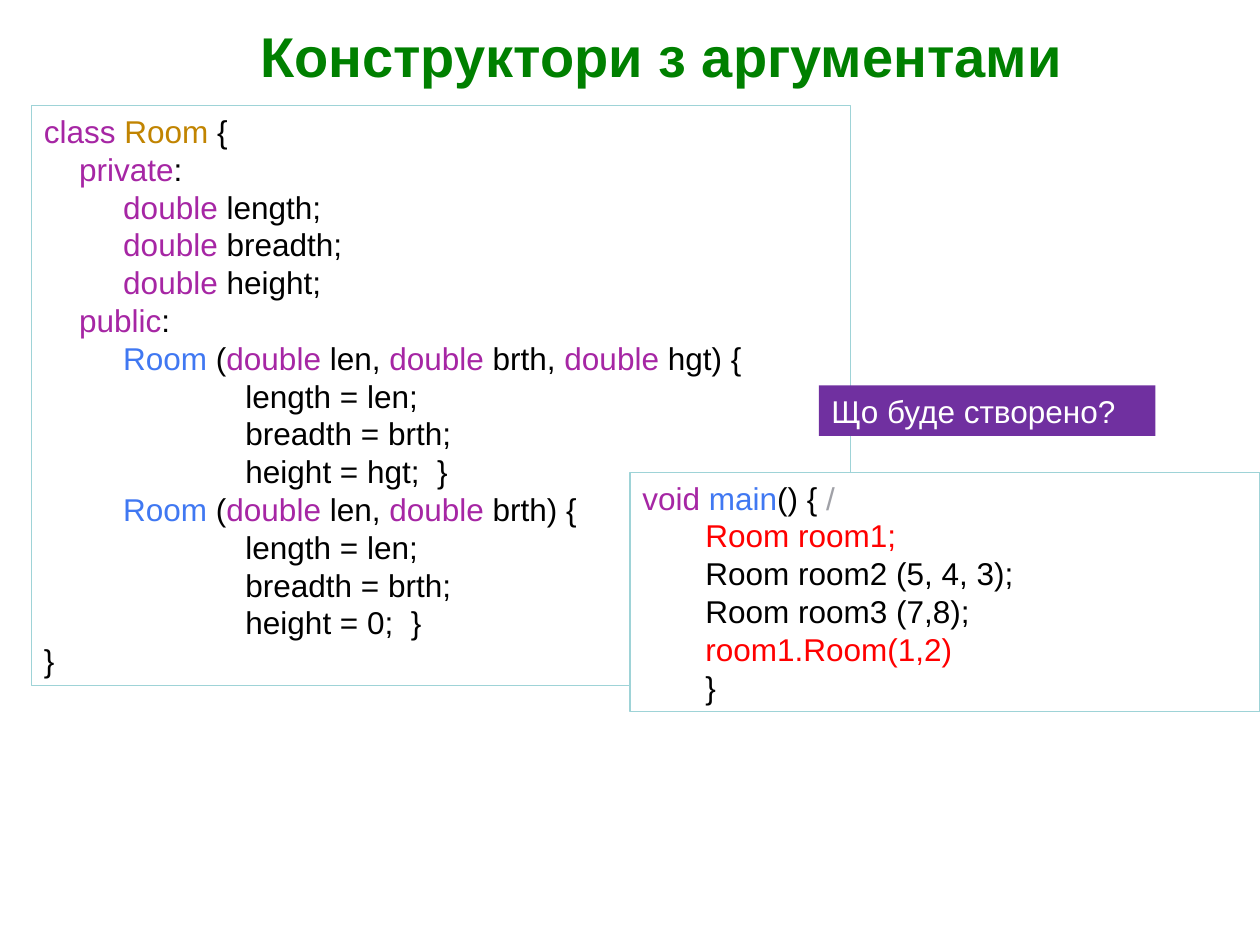
"""Build the slide about constructors with arguments."""
from dataclasses import dataclass
from typing import NamedTuple

from pptx import Presentation
from pptx.dml.color import RGBColor
from pptx.enum.shapes import MSO_SHAPE
from pptx.enum.text import MSO_ANCHOR, PP_ALIGN
from pptx.util import Inches, Pt

RECTANGLE = MSO_SHAPE.RECTANGLE
LEFT, CENTER = PP_ALIGN.LEFT, PP_ALIGN.CENTER
TOP, MIDDLE = MSO_ANCHOR.TOP, MSO_ANCHOR.MIDDLE

FONT = "Arial"
BLACK, WHITE, RED, GREEN = "000000", "FFFFFF", "FF0000", "008000"
KEYWORD, TYPE_NAME, FUNCTION, COMMENT = "A626A4", "C18401", "4078F2", "A0A1A7"
BORDER, PURPLE = "9ED3D7", "7030A0"
MEMBER_INDENT, FIELD_INDENT, BODY_INDENT, MAIN_INDENT = 0.28, 0.63, 1.6, 0.5


class Span(NamedTuple):
    text: str
    color: str = BLACK


@dataclass
class Line:
    spans: list[Span]
    indent: float = 0


@dataclass
class Box:
    left: float
    top: float
    width: float
    height: float
    lines: list[Line]
    fill: str | None = None
    border: str | None = None


def rgb(color: str) -> RGBColor:
    return RGBColor.from_string(color)


def plain(text: str, color: str = BLACK, indent: float = 0) -> Line:
    return Line([Span(text, color)], indent)


def access(name: str) -> Line:
    return Line([Span(name, KEYWORD), Span(":")], MEMBER_INDENT)


def field(name: str) -> Line:
    return Line([Span("double", KEYWORD), Span(f" {name};")], FIELD_INDENT)


def constructor(parameters: list[str], height: str) -> list[Line]:
    spans = [Span("Room ", FUNCTION), Span("(")]
    for parameter in parameters:
        ending = ") {" if parameter == parameters[-1] else ", "
        spans += [Span("double", KEYWORD), Span(f" {parameter}{ending}")]
    body = ["length = len;", "breadth = brth;", f"height = {height};  }}"]
    return [Line(spans, FIELD_INDENT)] + [plain(text, indent=BODY_INDENT) for text in body]


def write_text(frame, lines: list[Line], *, size: float = 18, bold: bool = False,
               align=LEFT, anchor=TOP) -> None:
    frame.word_wrap = True
    frame.vertical_anchor = anchor
    for index, line in enumerate(lines):
        paragraph = frame.add_paragraph() if index else frame.paragraphs[0]
        paragraph.alignment = align
        properties = paragraph._p.get_or_add_pPr()
        properties.set("marL", str(Inches(line.indent)))
        properties.set("indent", "0")
        for span in line.spans:
            run = paragraph.add_run()
            run.text = span.text
            run.font.name = FONT
            run.font.size = Pt(size)
            run.font.bold = bold
            run.font.color.rgb = rgb(span.color)


def draw_box(slide, box: Box) -> None:
    shape = slide.shapes.add_shape(RECTANGLE, Inches(box.left), Inches(box.top),
                                   Inches(box.width), Inches(box.height))
    shape.shadow.inherit = False
    if box.fill:
        shape.fill.solid()
        shape.fill.fore_color.rgb = rgb(box.fill)
    else:
        shape.fill.background()
    if box.border:
        shape.line.color.rgb = rgb(box.border)
        shape.line.width = Pt(0.75)
    else:
        shape.line.fill.background()
    write_text(shape.text_frame, box.lines)


def draw_title(slide, text: str) -> None:
    title = slide.shapes.title
    title.left, title.top = Inches(0.5), Inches(0)
    title.width, title.height = Inches(9.5), Inches(0.87)
    write_text(title.text_frame, [plain(text, GREEN)], size=32, bold=True,
               align=CENTER, anchor=MIDDLE)


CLASS_CODE = [
    Line([Span("class ", KEYWORD), Span("Room", TYPE_NAME), Span(" {")]),
    access("private"),
    *[field(name) for name in ("length", "breadth", "height")],
    access("public"),
    *constructor(["len", "brth", "hgt"], "hgt"),
    *constructor(["len", "brth"], "0"),
    plain("}"),
]
MAIN_CODE = [
    Line([Span("void ", KEYWORD), Span("main", FUNCTION), Span("() { "), Span("/", COMMENT)]),
    plain("Room room1;", RED, MAIN_INDENT),
    plain("Room room2 (5, 4, 3);", indent=MAIN_INDENT),
    plain("Room room3 (7,8);", indent=MAIN_INDENT),
    plain("room1.Room(1,2)", RED, MAIN_INDENT),
    plain("}", indent=MAIN_INDENT),
]
BOXES = [
    Box(0.25, 0.84, 6.5, 4.6, CLASS_CODE, border=BORDER),
    Box(5, 3.75, 5, 1.9, MAIN_CODE, fill=WHITE, border=BORDER),
    Box(6.5, 3.06, 2.67, 0.4, [plain("Що буде створено?", WHITE)], fill=PURPLE),
]


def main() -> None:
    presentation = Presentation()
    presentation.slide_width, presentation.slide_height = Inches(10), Inches(7.5)
    slide = presentation.slides.add_slide(presentation.slide_layouts[5])
    draw_title(slide, "Конструктори з аргументами")
    for box in BOXES:
        draw_box(slide, box)
    presentation.save("out.pptx")


if __name__ == "__main__":
    main()
